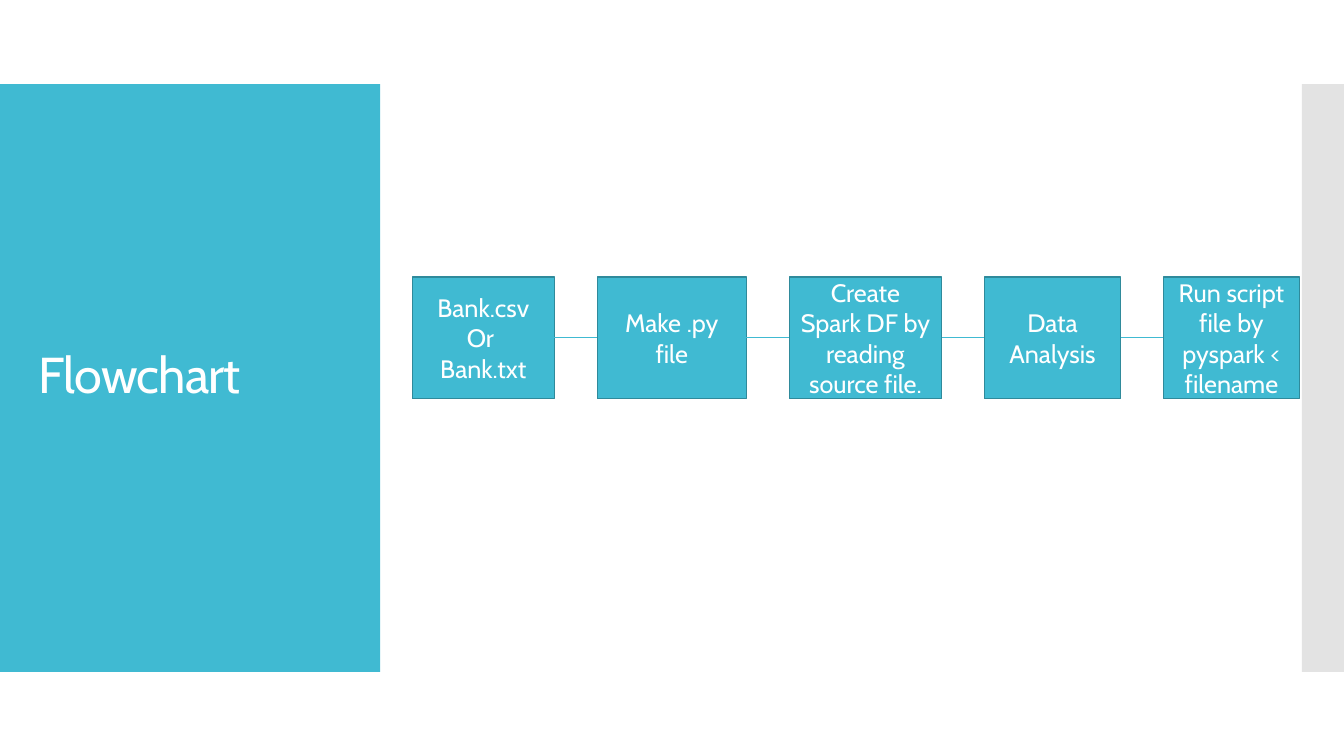
from dataclasses import dataclass
from itertools import pairwise

from lxml.etree import SubElement
from pptx import Presentation
from pptx.dml.color import RGBColor
from pptx.enum.shapes import MSO_CONNECTOR, MSO_SHAPE
from pptx.enum.text import MSO_ANCHOR, PP_ALIGN
from pptx.oxml.ns import qn
from pptx.util import Cm, Pt

# Content: each step has its text and box width in cm
TITLE = "Flowchart"
STEPS = [
    ("Bank.csv\nOr \nBank.txt", 3.58),
    ("Make .py file", 3.76),
    ("Create Spark DF by reading source file.", 3.84),
    ("Data Analysis", 3.43),
    ("Run script file by pyspark < filename", 3.43),
]

# Layout in cm
SLIDE_WIDTH, SLIDE_HEIGHT = 33.87, 19.05
PANEL_TOP, PANEL_HEIGHT = 2.12, 14.81
TITLE_PANEL_WIDTH, EDGE_PANEL_WIDTH = 9.58, 1.06
STEP_LEFT, STEP_TOP, STEP_HEIGHT, STEP_GAP = 10.39, 6.98, 3.07, 1.08


@dataclass(frozen=True)
class Theme:
    font: str = "Cabin"
    accent: RGBColor = RGBColor(0x40, 0xBA, 0xD2)
    outline: RGBColor = RGBColor(0x2F, 0x8A, 0x9B)
    edge: RGBColor = RGBColor(0xC8, 0xC8, 0xC8)
    text: RGBColor = RGBColor(0xFF, 0xFF, 0xFF)
    title_size: Pt = Pt(36)
    step_size: Pt = Pt(18)
    outline_width: Pt = Pt(0.85)
    connector_width: Pt = Pt(0.75)


THEME = Theme()


def add_box(slide, left, top, width, height, color):
    shape = slide.shapes.add_shape(
        MSO_SHAPE.RECTANGLE, Cm(left), Cm(top), Cm(width), Cm(height))
    shape.shadow.inherit = False
    shape.fill.solid()
    shape.fill.fore_color.rgb = color
    shape.line.fill.background()
    return shape


def write_text(shape, text, size, alignment):
    text_frame = shape.text_frame
    text_frame.text = text
    text_frame.word_wrap = True
    text_frame.vertical_anchor = MSO_ANCHOR.MIDDLE
    for paragraph in text_frame.paragraphs:
        paragraph.alignment = alignment
        for run in paragraph.runs:
            run.font.name = THEME.font
            run.font.size = size
            run.font.color.rgb = THEME.text


def add_panels(slide):
    add_box(slide, 0, PANEL_TOP, TITLE_PANEL_WIDTH, PANEL_HEIGHT, THEME.accent)
    edge = add_box(slide, SLIDE_WIDTH - EDGE_PANEL_WIDTH, PANEL_TOP,
                   EDGE_PANEL_WIDTH, PANEL_HEIGHT, THEME.edge)
    color = edge.fill._xPr.find(qn("a:solidFill"))[0]
    SubElement(color, qn("a:alpha"), val="50000")


def place_title(slide):
    title = slide.shapes.title
    title.left, title.top = Cm(0.71), Cm(3.12)
    title.width, title.height = Cm(8.18), Cm(12.78)
    write_text(title, TITLE, THEME.title_size, PP_ALIGN.LEFT)
    paragraph = title.text_frame.paragraphs[0]
    paragraph.line_spacing = 0.9
    paragraph.runs[0].font._element.set("spc", "-60")
    # Bring the title in front of its panel
    slide.shapes._spTree.append(title._element)


def add_step(slide, left, width, text):
    step = add_box(slide, left, STEP_TOP, width, STEP_HEIGHT, THEME.accent)
    step.line.color.rgb = THEME.outline
    step.line.width = THEME.outline_width
    write_text(step, text, THEME.step_size, PP_ALIGN.CENTER)
    return step


def connect(slide, first, second):
    connector = slide.shapes.add_connector(MSO_CONNECTOR.STRAIGHT, 0, 0, 0, 0)
    # Rectangle sites: 1 is the left side, 3 the right side
    connector.begin_connect(first, 3)
    connector.end_connect(second, 1)
    connector.line.color.rgb = THEME.accent
    connector.line.width = THEME.connector_width
    SubElement(connector._element.spPr, qn("a:effectLst"))


def main():
    presentation = Presentation()
    presentation.slide_width = Cm(SLIDE_WIDTH)
    presentation.slide_height = Cm(SLIDE_HEIGHT)
    slide = presentation.slides.add_slide(presentation.slide_layouts[5])

    # Side panels and title
    add_panels(slide)
    place_title(slide)

    # Flowchart steps from left to right
    steps = []
    left = STEP_LEFT
    for text, width in STEPS:
        steps.append(add_step(slide, left, width, text))
        left += width + STEP_GAP

    # Links between neighbouring steps
    for first, second in pairwise(steps):
        connect(slide, first, second)

    presentation.save("out.pptx")


if __name__ == "__main__":
    main()
